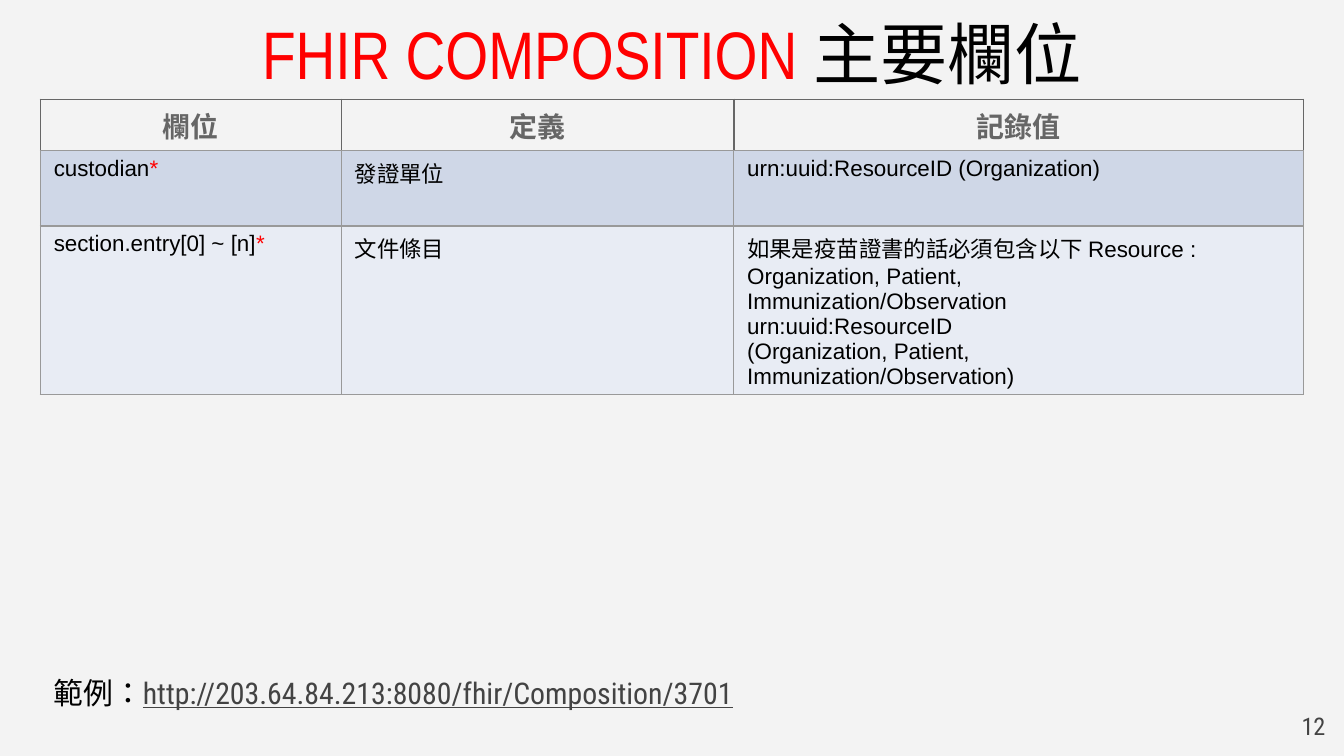
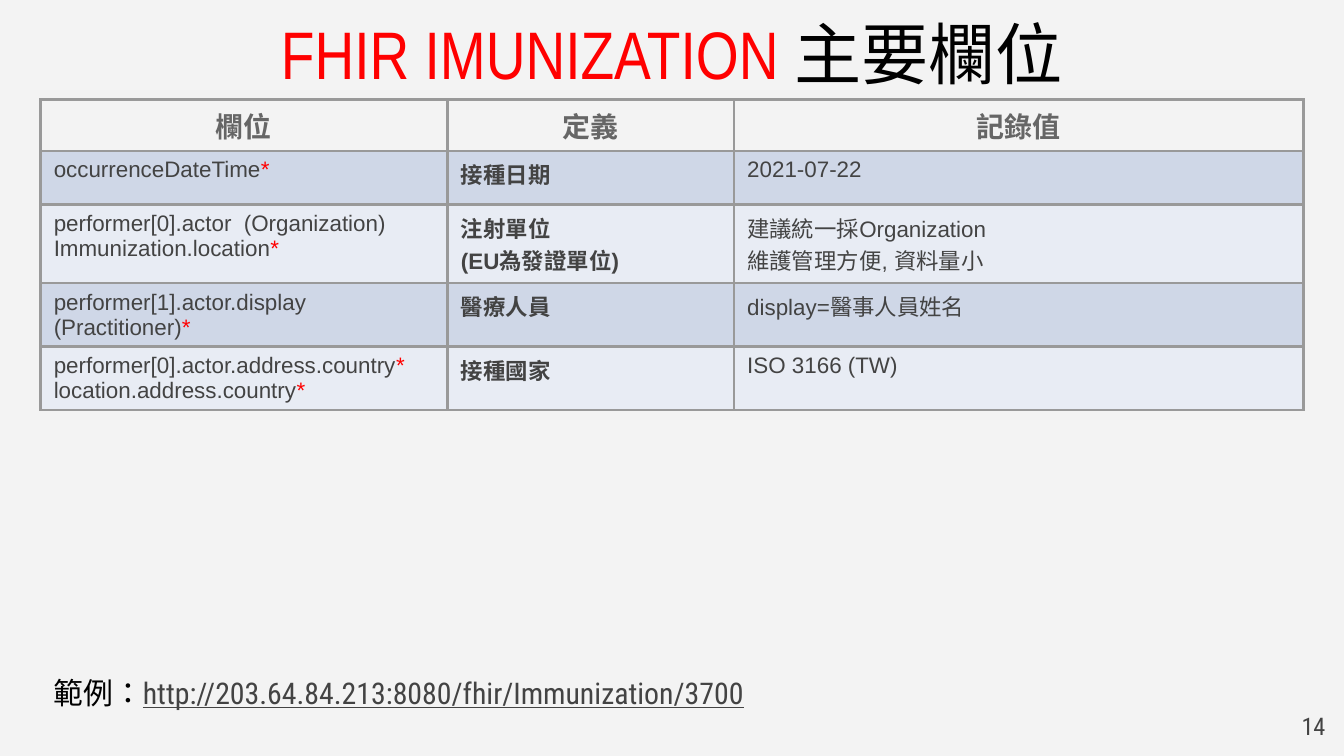
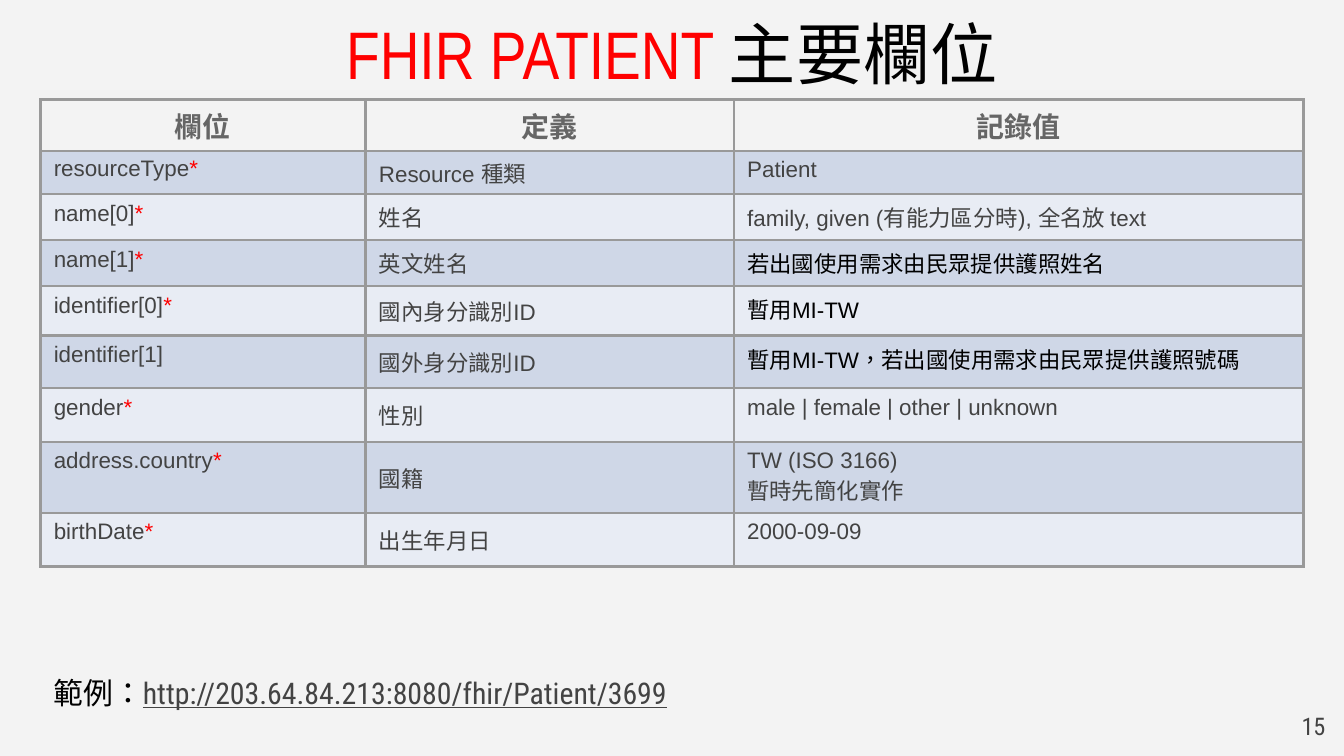
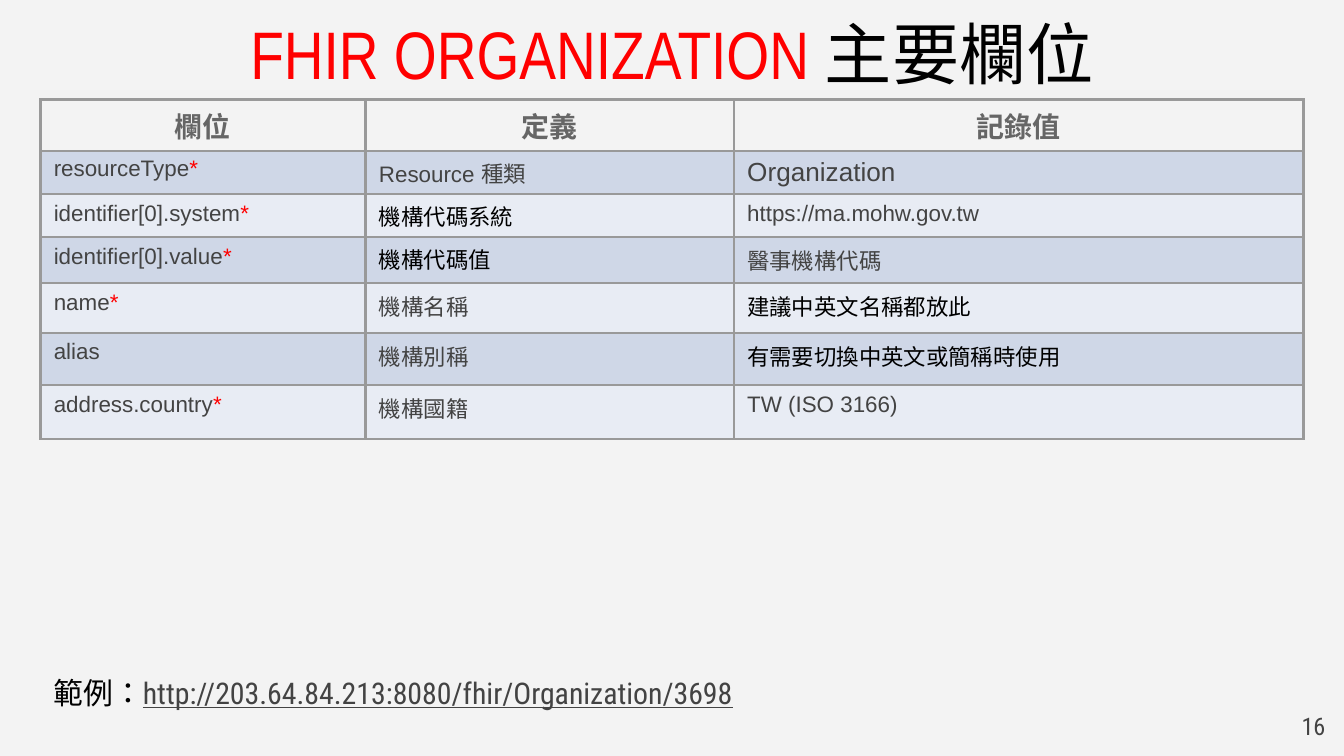
import pptx
import pptx.util
import pptx.dml.color
import pptx.enum.lang
import pptx.enum.text
import pptx.oxml
import pptx.oxml.ns

Inches = pptx.util.Inches
Pt = pptx.util.Pt
RGBColor = pptx.dml.color.RGBColor
PP_ALIGN = pptx.enum.text.PP_ALIGN
MSO_ANCHOR = pptx.enum.text.MSO_ANCHOR
MSO_AUTO_SIZE = pptx.enum.text.MSO_AUTO_SIZE
ZH_TW = pptx.enum.lang.MSO_LANGUAGE_ID.TRADITIONAL_CHINESE

PAPER = RGBColor(0xF3, 0xF3, 0xF3)
BLACK = RGBColor(0, 0, 0)
RED = RGBColor(0xFF, 0, 0)
DARK = RGBColor(0x43, 0x43, 0x43)
GRAY = RGBColor(0x66, 0x66, 0x66)
RULE = RGBColor(0x99, 0x99, 0x99)
BANDS = [RGBColor(0xCF, 0xD7, 0xE7), RGBColor(0xE8, 0xEC, 0xF4)]

TITLE_FONT = "Arial Narrow"
TABLE_FONT = "Arial"
FOOT_FONT = "Roboto Condensed"

TITLE_BOX = (0.5, -0.08, 9, 0.94)
TABLE_BOX = (0.3, 0.74, 9.4)
EXAMPLE_BOX = (0.3, 4.92, 6.61, 0.47)
NUMBER_BOX = (9.36, 5.19, 0.6, 0.43)

HEADERS = [("欄位", ZH_TW), ("定義", None), ("記錄值", ZH_TW)]
VALUE_WIDTH = 4.24
HEADER_HEIGHT = 0.27
SERVER = "http://203.64.84.213:8080/fhir/"
TIGHT = {"pad": 0.04}
INK = {"color": BLACK}
TIGHT_INK = {**TIGHT, **INK}

TOPICS = [
    {
        "resource": "Composition", "title": "COMPOSITION", "record": 3701, "number": 12,
        "field_width": 2.24, "heights": [0.56, 0.45],
        "rule": 0.75, "header_rule": (GRAY, 1),
        "body": TIGHT_INK,
        "rows": [
            ["custodian*", "發證單位", "urn:uuid:ResourceID (Organization)"],
            ["section.entry[0] ~ [n]*", "文件條目",
             "如果是疫苗證書的話必須包含以下 Resource :\n"
             "Organization, Patient,\nImmunization/Observation\n"
             "urn:uuid:ResourceID\n"
             "(Organization, Patient,\nImmunization/Observation)"],
        ],
    },
    {
        "resource": "Immunization", "title": "IMUNIZATION", "record": 3700, "number": 14,
        "field_width": 3.03, "heights": [0.4] * 4,
        "definition": {"bold": True},
        "rows": [
            ["occurrenceDateTime*", "接種日期", "2021-07-22"],
            ["performer[0].actor  (Organization)\nImmunization.location*",
             "注射單位\n(EU為發證單位)",
             "建議統一採Organization\n維護管理方便, 資料量小"],
            ["performer[1].actor.display  (Practitioner)*", "醫療人員",
             "display=醫事人員姓名"],
            ["performer[0].actor.address.country*\nlocation.address.country*",
             "接種國家", "ISO 3166 (TW)"],
        ],
    },
    {
        "resource": "Patient", "title": "PATIENT", "record": 3699, "number": 15,
        "field_width": 2.42, "heights": [0.26] * 3 + [0.37, 0.39] + [0.4] * 3,
        "definition": {"anchor": MSO_ANCHOR.MIDDLE},
        "rows": [
            [("resourceType*", TIGHT),
             ("Resource 種類", {**TIGHT, "anchor": MSO_ANCHOR.TOP}), "Patient"],
            ["name[0]*", "姓名", "family, given (有能力區分時), 全名放 text"],
            ["name[1]*", "英文姓名", ("若出國使用需求由民眾提供護照姓名", INK)],
            ["identifier[0]*", "國內身分識別ID", ("暫用MI-TW", INK)],
            ["identifier[1]", "國外身分識別ID",
             ("暫用MI-TW，若出國使用需求由民眾提供護照號碼", {**INK, "lang": ZH_TW})],
            ["gender*", "性別", "male | female | other | unknown"],
            ["address.country*", "國籍", "TW (ISO 3166)\n暫時先簡化實作"],
            ["birthDate*", "出生年月日", "2000-09-09"],
        ],
    },
    {
        "resource": "Organization", "title": "ORGANIZATION", "record": 3698, "number": 16,
        "field_width": 2.42, "heights": [0.26] * 3 + [0.37, 0.39, 0.4],
        "rows": [
            [("resourceType*", TIGHT), ("Resource 種類", TIGHT),
             ("Organization", {"size": 14})],
            ["identifier[0].system*", ("機構代碼系統", TIGHT_INK), "https://ma.mohw.gov.tw"],
            ["identifier[0].value*", ("機構代碼值", TIGHT_INK), "醫事機構代碼"],
            ["name*", "機構名稱", ("建議中英文名稱都放此", INK)],
            ["alias", "機構別稱", ("有需要切換中英文或簡稱時使用", INK)],
            ["address.country*", "機構國籍", "TW (ISO 3166)"],
        ],
    },
]


def add_text(p, text, size=12, font=TABLE_FONT, color=DARK, bold=False,
             underline=None, lang=None):
    r = p.add_run()
    r.text = text
    r.font.size = Pt(size)
    r.font.name = font
    r.font.color.rgb = color
    r.font.bold = bold
    r.font.underline = underline
    if lang:
        r.font.language_id = lang


def add_box(slide, box, align=PP_ALIGN.LEFT):
    sp = slide.shapes.add_textbox(*map(Inches, box))
    tf = sp.text_frame
    tf.word_wrap = True
    tf.margin_left = tf.margin_right = tf.margin_top = tf.margin_bottom = Inches(0.1)
    p = tf.paragraphs[0]
    p.alignment = align
    return tf, p


def set_border(cell, sides, color, width):
    tcPr = cell._tc.get_or_add_tcPr()
    for side in sides:
        tcPr.append(pptx.oxml.parse_xml(
            f'<a:ln{side} {pptx.oxml.ns.nsdecls("a")} w="{Pt(width)}"><a:solidFill>'
            f'<a:srgbClr val="{color}"/></a:solidFill></a:ln{side}>'))


def fill_cell(cell, text, fill, pad=0.05, anchor=MSO_ANCHOR.TOP,
              align=PP_ALIGN.LEFT, **fmt):
    cell.fill.solid()
    cell.fill.fore_color.rgb = fill
    cell.margin_left = cell.margin_right = Inches(0.1)
    cell.margin_top = cell.margin_bottom = Inches(pad)
    cell.vertical_anchor = anchor
    tf = cell.text_frame
    for i, line in enumerate(text.split("\n")):
        p = tf.add_paragraph() if i else tf.paragraphs[0]
        p.alignment = align
        add_text(p, line.removesuffix("*"), **fmt)
        if line.endswith("*"):
            add_text(p, "*", **{**fmt, "color": RED})


def place_title(slide, box, name):
    sp = slide.shapes.title
    sp.left, sp.top, sp.width, sp.height = map(Inches, box)
    tf = sp.text_frame
    tf.auto_size = MSO_AUTO_SIZE.NONE
    tf.vertical_anchor = MSO_ANCHOR.MIDDLE
    p = tf.paragraphs[0]
    p.alignment = PP_ALIGN.CENTER
    add_text(p, f"FHIR {name} ", size=36, font=TITLE_FONT, color=RED)
    add_text(p, "主要欄位", size=36, font=TITLE_FONT, color=BLACK)


def place_table(slide, box, topic):
    left, top, width = box
    heights = [HEADER_HEIGHT] + topic["heights"]
    field = topic["field_width"]
    widths = [field, width - field - VALUE_WIDTH, VALUE_WIDTH]
    tbl = slide.shapes.add_table(
        len(heights), len(widths), Inches(left), Inches(top),
        Inches(width), Inches(sum(heights))).table
    tbl.first_row = tbl.horz_banding = False
    for col, w in zip(tbl.columns, widths):
        col.width = Inches(w)
    for row, h in zip(tbl.rows, heights):
        row.height = Inches(h)

    rule = (RULE, topic.get("rule", 1.5))
    for c, (text, lang) in enumerate(HEADERS):
        cell = tbl.cell(0, c)
        set_border(cell, "LRT", *topic.get("header_rule", rule))
        set_border(cell, "B", *rule)
        fill_cell(cell, text, PAPER, pad=0.04, align=PP_ALIGN.CENTER,
                  size=15, color=GRAY, bold=True, lang=lang)
    for i, row in enumerate(topic["rows"]):
        for c, item in enumerate(row):
            text, fmt = (item, {}) if isinstance(item, str) else item
            column = topic.get("definition", {}) if c == 1 else {}
            cell = tbl.cell(i + 1, c)
            set_border(cell, "LRTB", *rule)
            fill_cell(cell, text, BANDS[i % 2],
                      **{**topic.get("body", {}), **column, **fmt})


def place_example(slide, box, url):
    tf, p = add_box(slide, box)
    tf.auto_size = MSO_AUTO_SIZE.SHAPE_TO_FIT_TEXT
    add_text(p, "範例：", size=16, font=FOOT_FONT, color=BLACK, lang=ZH_TW)
    add_text(p, url, size=16, font=FOOT_FONT, underline=True)


def place_number(slide, box, number):
    tf, p = add_box(slide, box, align=PP_ALIGN.RIGHT)
    add_text(p, str(number), size=13, font=FOOT_FONT)


def add_topic_slide(prs, topic):
    slide = prs.slides.add_slide(prs.slide_layouts[5])
    place_title(slide, TITLE_BOX, topic["title"])
    place_table(slide, TABLE_BOX, topic)
    place_number(slide, NUMBER_BOX, topic["number"])
    place_example(slide, EXAMPLE_BOX, f"{SERVER}{topic['resource']}/{topic['record']}")


def main():
    prs = pptx.Presentation()
    prs.slide_width = Inches(10)
    prs.slide_height = prs.slide_width * 9 // 16
    background = prs.slide_master.background.fill
    background.solid()
    background.fore_color.rgb = PAPER
    for topic in TOPICS:
        add_topic_slide(prs, topic)
    prs.save("out.pptx")


if __name__ == "__main__":
    main()
